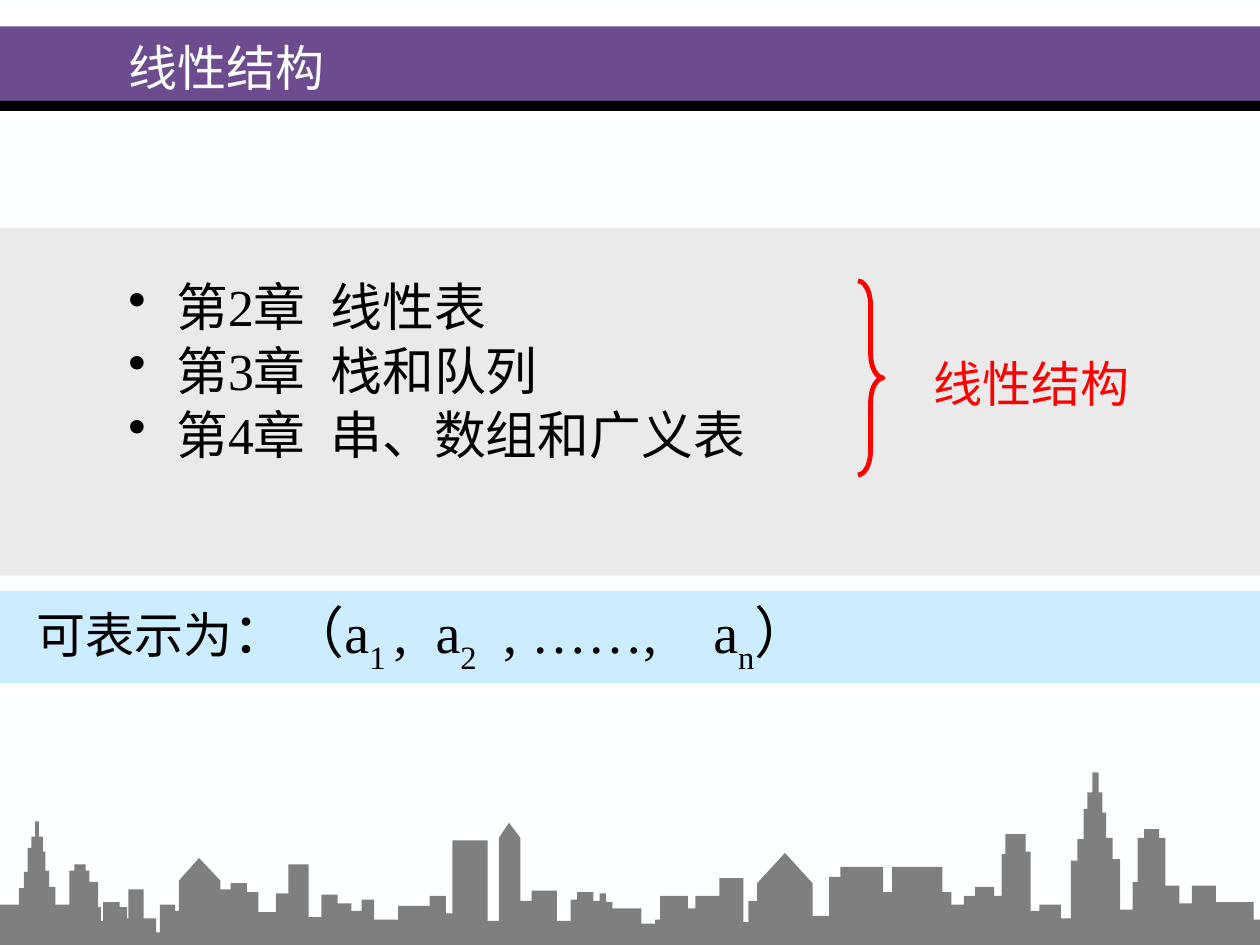
"""Build the slide on linear structures, laid out on a grid of 1000 columns by 750 rows."""
from typing import Any, NamedTuple

from lxml import etree
from pptx import Presentation
from pptx import util as u
from pptx.dml.color import RGBColor
from pptx.enum import shapes, text
from pptx.oxml import ns

COLUMNS, ROWS = 1000, 750
CELL = u.Inches(0.01)
FONT = "Times New Roman"
PAPER, INK, RED = "FEFFFF", "000000", "FF0000"


class Area(NamedTuple):
    left: float
    top: float
    width: float
    height: float


class Band(NamedTuple):
    area: Area
    color: str


class Part(NamedTuple):
    wording: str
    size: float
    color: str = INK
    baseline: int = 0
    spacing: float = 0


class Roof(NamedTuple):
    left: int
    eave: int
    peak: int = 0


HEADER_BANDS = [Band(Area(0, 21, COLUMNS, 59), "6C4C8F"), Band(Area(0, 80, COLUMNS, 8), INK)]
CHAPTER_BAND = Band(Area(0, 181, COLUMNS, 276), "EAEAEA")
FORMULA_BAND = Band(Area(0, 469, COLUMNS, 73), "CCECFF")

CHAPTERS = [("第2章", "线性表"), ("第3章", "栈和队列"), ("第4章", "串、数组和广义表")]

FORMULA = [
    Part("可表示为", 28), Part("：（a", 32), Part("1 ", 32, baseline=-30),
    Part(",", 32), Part(" ", 32, spacing=8), Part("a", 32),
    Part("2", 32, baseline=-30), Part(" ", 32, baseline=-30, spacing=10.5),
    Part(", ……,", 32), Part(" ", 32, spacing=24), Part("a", 32),
    Part("n", 32, baseline=-30), Part("）", 32),
]

SKYLINE = [Roof(*roof) for roof in [
    (0, 718), (15, 705), (19, 692), (22, 673), (25, 664), (28, 652), (31, 664), (34, 676),
    (36, 691), (39, 704), (44, 718), (55, 691), (59, 686), (68, 691), (71, 700), (78, 720),
    (80, 731), (82, 716), (95, 720), (101, 729), (102, 706), (114, 729), (124, 740),
    (127, 718), (139, 723), (142, 699, 681), (175, 706), (183, 701), (196, 708), (205, 724),
    (219, 709), (229, 686), (245, 728), (255, 710), (268, 717), (279, 723), (287, 714),
    (297, 730), (316, 719), (341, 711), (354, 725), (359, 667), (387, 731), (396, 665, 653),
    (413, 715), (422, 707), (442, 731), (453, 714), (458, 708), (471, 715), (476, 709),
    (481, 716), (486, 721), (509, 733), (520, 730), (524, 711), (546, 721), (552, 711),
    (571, 697), (590, 732), (594, 715), (601, 701, 677), (645, 727), (658, 696), (667, 688),
    (701, 708), (708, 688), (748, 708), (755, 718), (765, 711), (774, 704), (789, 711),
    (795, 678), (798, 662), (814, 676), (818, 723), (825, 718), (842, 729), (850, 683),
    (855, 666), (860, 642), (863, 629), (867, 613), (872, 629), (875, 645), (878, 665),
    (883, 682), (889, 722), (899, 700), (903, 665), (908, 658), (920, 665), (925, 703),
    (936, 717), (946, 703), (965, 716), (995, 730),
]]


def rgb(color: str) -> RGBColor:
    """Turn a hex string into a colour."""
    return RGBColor.from_string(color)


def cells(count: float) -> u.Emu:
    """Turn a count of grid cells into a length."""
    return u.Emu(round(count * CELL))


def apply(target: Any, values: dict[str, Any]) -> None:
    """Set every listed attribute on the target."""
    for name, value in values.items():
        setattr(target, name, value)


def paint(shape: Any, color: str) -> None:
    """Give a shape a plain fill without line or shadow."""
    shape.shadow.inherit = False
    shape.fill.solid()
    shape.fill.fore_color.rgb = rgb(color)
    shape.line.fill.background()


def add_band(slide: Any, band: Band) -> Any:
    """Draw a coloured band."""
    shape = slide.shapes.add_shape(shapes.MSO_SHAPE.RECTANGLE, *map(cells, band.area))
    paint(shape, band.color)
    return shape


def add_textbox(slide: Any, area: Area) -> Any:
    """Add a wrapping text box and return its text frame."""
    frame = slide.shapes.add_textbox(*map(cells, area)).text_frame
    frame.word_wrap = True
    return frame


def write(paragraph: Any, parts: list[Part]) -> None:
    """Add formatted runs to a paragraph."""
    for part in parts:
        run = paragraph.add_run()
        run.text = part.wording
        apply(run.font, {"name": FONT, "size": u.Pt(part.size)})
        run.font.color.rgb = rgb(part.color)
        marks = {"baseline": part.baseline * 1000, "spc": round(part.spacing * 100)}
        for name, value in marks.items():
            if value:
                run.font._element.set(name, str(value))


def add_bullet(paragraph: Any) -> None:
    """Give a paragraph a hanging round bullet."""
    properties = paragraph._p.get_or_add_pPr()
    indent = cells(38)
    properties.set("marL", str(indent))
    properties.set("indent", str(-indent))
    color = etree.SubElement(properties, ns.qn("a:buClr"))
    etree.SubElement(color, ns.qn("a:srgbClr")).set("val", INK)
    etree.SubElement(properties, ns.qn("a:buChar")).set("char", "•")


def add_title(slide: Any) -> None:
    """Place the title over the header bands."""
    title = slide.shapes.title
    title.element.getparent().append(title.element)
    area = Area(92, 28, 700, 50)
    apply(title, dict(zip(area._fields, map(cells, area))))
    apply(title.text_frame, {"vertical_anchor": text.MSO_ANCHOR.MIDDLE,
                             "auto_size": text.MSO_AUTO_SIZE.NONE, "word_wrap": True})
    heading = title.text_frame.paragraphs[0]
    heading.alignment = text.PP_ALIGN.LEFT
    write(heading, [Part("线性结构", 28, PAPER)])


def add_chapters(slide: Any) -> None:
    """List the chapters."""
    frame = add_textbox(slide, Area(92, 223, 567, 186))
    for index, (number, topic) in enumerate(CHAPTERS):
        chapter = frame.add_paragraph() if index else frame.paragraphs[0]
        add_bullet(chapter)
        apply(chapter, {"line_spacing": 0.8, "space_before": u.Pt(8 if index else 0)})
        write(chapter, [Part(number, 29.6), Part(" ", 29.6, spacing=7.4), Part(topic, 29.6)])


def add_brace(slide: Any) -> None:
    """Draw the brace that joins the chapters, with its label."""
    brace = slide.shapes.add_shape(shapes.MSO_SHAPE.RIGHT_BRACE,
                                   *map(cells, Area(681, 223, 20, 154)))
    brace.shadow.inherit = False
    brace.fill.background()
    brace.adjustments[0] = 0.98
    brace.line.color.rgb = rgb(RED)
    brace.line.width = u.Pt(2.75)
    label = add_textbox(slide, Area(724, 276, 189, 57)).paragraphs[0]
    label.alignment = text.PP_ALIGN.CENTER
    write(label, [Part("线性结构", 28, RED)])


def add_formula(slide: Any) -> None:
    """Draw the band with the list notation."""
    frame = add_band(slide, FORMULA_BAND).text_frame
    apply(frame, {"vertical_anchor": text.MSO_ANCHOR.TOP, "margin_left": cells(29),
                  "word_wrap": True})
    notation = frame.paragraphs[0]
    notation.alignment = text.PP_ALIGN.LEFT
    write(notation, FORMULA)


def add_skyline(slide: Any) -> None:
    """Draw the city outline along the bottom edge."""
    outline = slide.shapes.build_freeform(0, ROWS, scale=CELL)
    rights = [roof.left for roof in SKYLINE[1:]] + [COLUMNS]
    points = []
    for roof, right in zip(SKYLINE, rights):
        points.append((roof.left, roof.eave))
        if roof.peak:
            points.append(((roof.left + right) / 2, roof.peak))
        points.append((right, roof.eave))
    outline.add_line_segments(points + [(COLUMNS, ROWS)], close=True)
    paint(outline.convert_to_shape(), "7F7F7F")


def main() -> None:
    """Build and save the slide."""
    deck = Presentation()
    apply(deck, {"slide_width": cells(COLUMNS), "slide_height": cells(ROWS)})
    slide = deck.slides.add_slide(deck.slide_layouts.get_by_name("Title Only"))
    slide.background.fill.solid()
    slide.background.fill.fore_color.rgb = rgb(PAPER)
    for band in [*HEADER_BANDS, CHAPTER_BAND]:
        add_band(slide, band)
    for draw in (add_brace, add_formula, add_chapters, add_title, add_skyline):
        draw(slide)
    deck.save("out.pptx")


if __name__ == "__main__":
    main()
